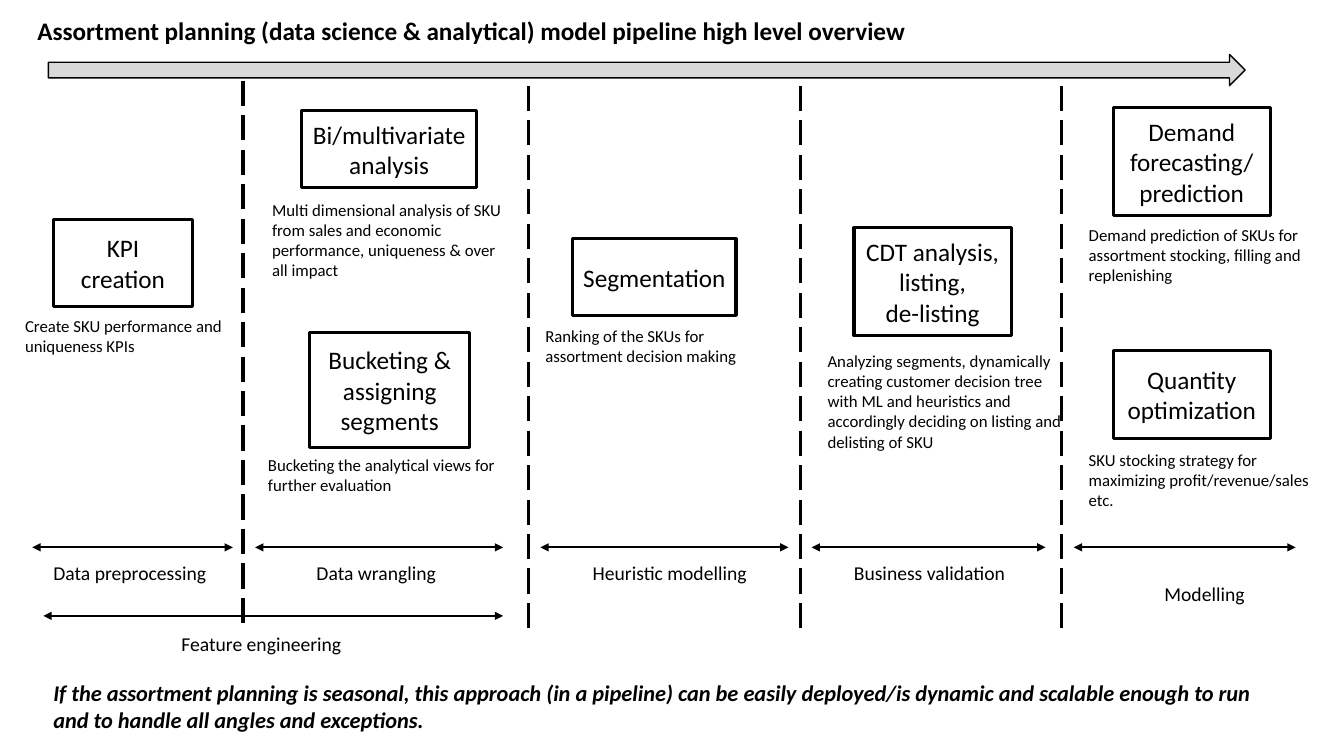
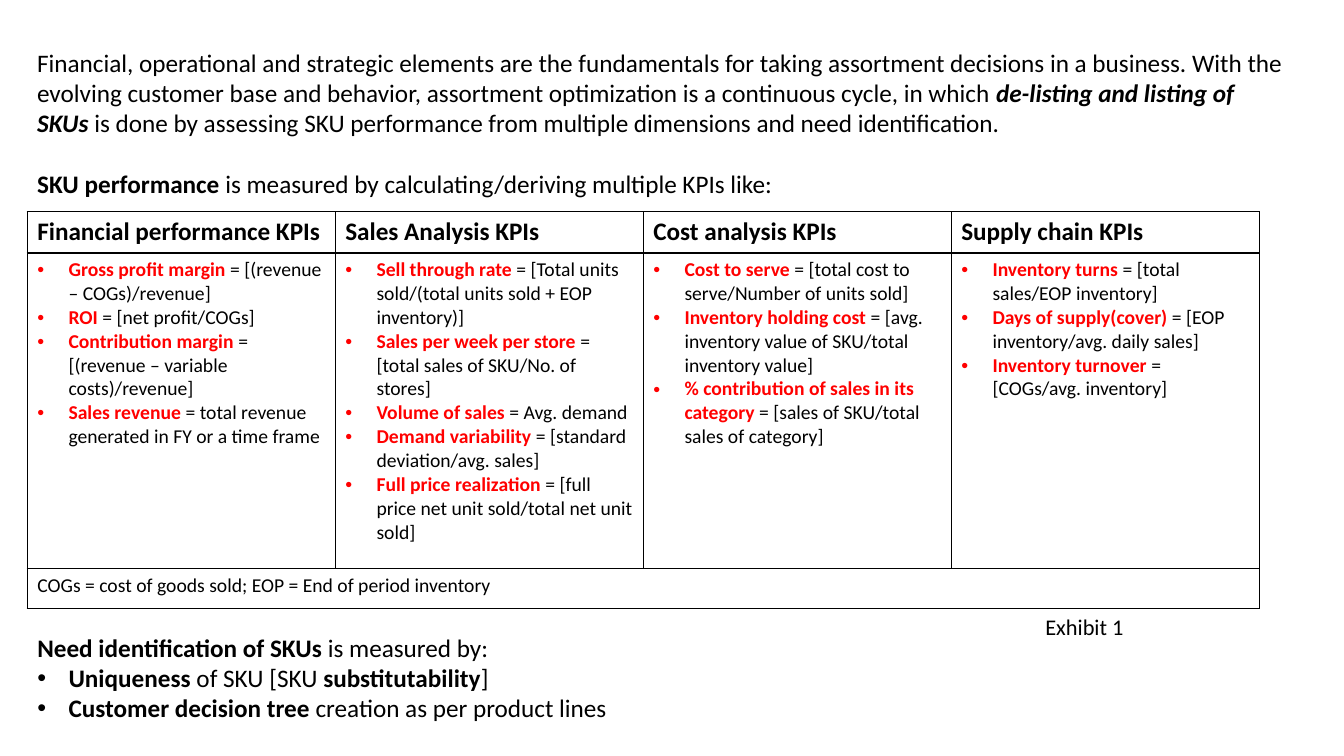
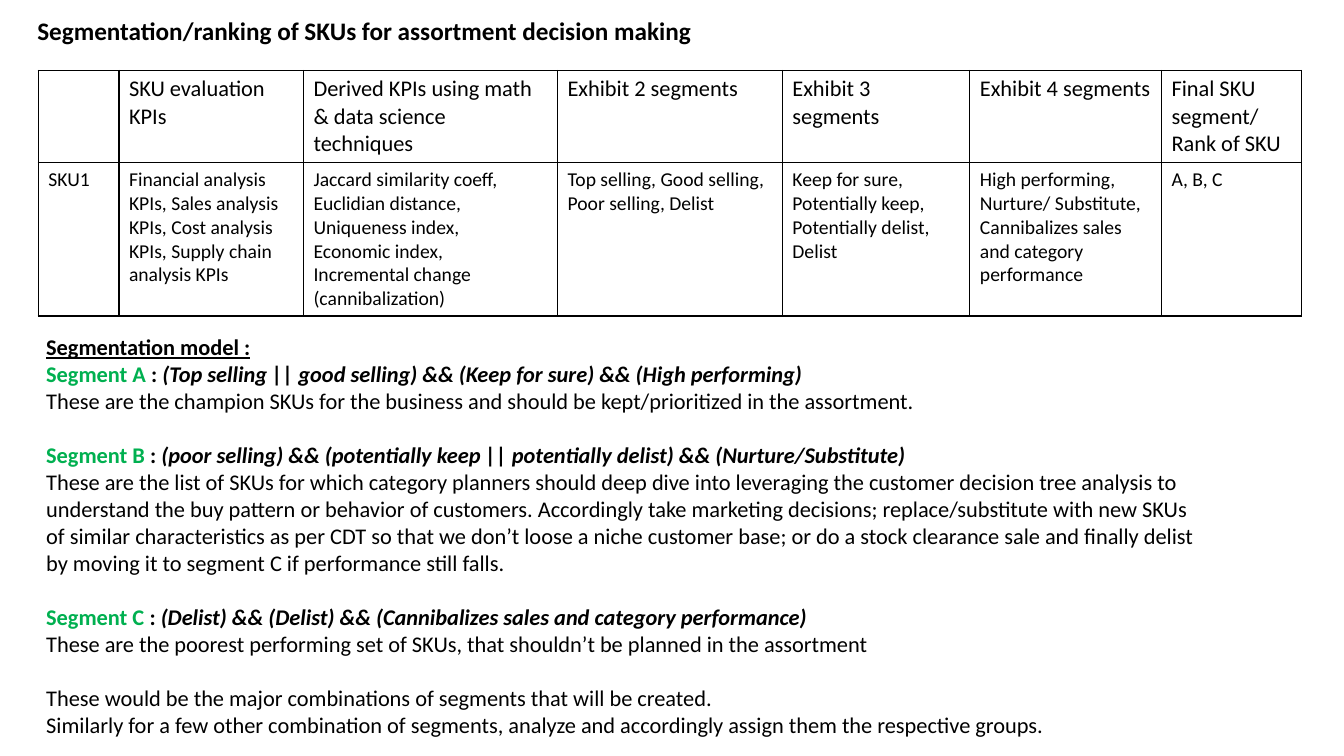
from lxml import etree
from pptx import Presentation
from pptx.dml.color import RGBColor
from pptx.enum.dml import MSO_LINE
from pptx.enum.shapes import MSO_CONNECTOR, MSO_SHAPE
from pptx.enum.text import MSO_ANCHOR, MSO_AUTO_SIZE, PP_ALIGN
from pptx.oxml.ns import qn
from pptx.util import Inches, Pt

COLORS = {"ink": "000000", "key": "FF0000", "segment": "00B050", "arrow": "D9D9D9"}
FONT = "Calibri"
LINE_HEIGHT = 1.22
INDENT = 0.31
STYLES = {
    "strong": {"bold": True},
    "stress": {"bold": True, "italic": True},
    "key": {"bold": True, "color": "key"},
    "segment": {"bold": True, "color": "segment"},
    "heading": {"bold": True, "underline": True},
}
TITLE_ONLY, TITLE_AND_BODY = 5, 1

PIPELINE_TITLE = "Assortment planning (data science & analytical) model pipeline high level overview"
STEPS = [
    ("KPI creation", (0.53, 2.18, 1.38, 0.86),
     "Create SKU performance and uniqueness KPIs", (0.15, 3.08, 2.16, 0.5)),
    ("Bi/multivariate analysis", (2.99, 1.1, 1.74, 0.76),
     "Multi dimensional analysis of SKU from sales and economic performance, "
     "uniqueness & over all impact", (2.6, 1.93, 2.54, 0.91)),
    ("Bucketing & assigning segments", (3.07, 3.3, 1.59, 1.14),
     "Bucketing the analytical views for further evaluation", (2.56, 4.46, 2.54, 0.5)),
    ("Segmentation", (5.68, 2.37, 1.62, 0.76),
     "Ranking of the SKUs for assortment decision making", (5.31, 3.18, 2.54, 0.5)),
    (["CDT analysis, listing,", "de-listing"], (8.47, 2.26, 1.56, 1.07),
     "Analyzing segments, dynamically creating customer decision tree with ML and "
     "heuristics and accordingly deciding on listing and delisting of SKU",
     (8.11, 3.43, 2.54, 1.11)),
    (["Demand forecasting/", "prediction"], (11.04, 1.07, 1.56, 1.07),
     "Demand prediction of SKUs for assortment stocking, filling and replenishing",
     (10.7, 2.18, 2.54, 0.71)),
    ("Quantity optimization", (11.04, 3.48, 1.56, 0.87),
     "SKU stocking strategy for maximizing profit/revenue/sales etc.",
     (10.7, 4.41, 2.54, 0.71)),
]
DIVIDERS = [(2.41, 0.8), (5.24, 0.85), (7.94, 0.85), (10.53, 0.85)]
DIVIDER_LENGTH = 5.38
PHASES = [
    ("Data preprocessing", 0.32, 2.31, 5.43, (0.43, 5.52)),
    ("Data wrangling", 2.53, 4.99, 5.43, (3.04, 5.52)),
    ("Heuristic modelling", 5.36, 7.82, 5.43, (5.78, 5.52)),
    ("Business validation", 8.05, 10.37, 5.43, (8.37, 5.52)),
    ("Modelling", 10.65, 12.85, 5.43, (11.45, 5.72)),
    ("Feature engineering", 0.43, 4.99, 6.11, (1.7, 6.22)),
]
CONCLUSION = (
    "If the assortment planning is seasonal, this approach (in a pipeline) can be easily "
    "deployed/is dynamic and scalable enough to run and to handle all angles and exceptions."
)

INTRO = [
    ["Financial, operational and strategic elements are the fundamentals for taking "
     "assortment decisions in a business. With the evolving customer base and behavior, "
     "assortment optimization is a continuous cycle, in which ",
     ("de-listing and listing of SKUs ", "stress"),
     "is done by assessing SKU performance from multiple dimensions and need identification."],
    None,
    [("SKU performance ", "strong"), "is measured by calculating/deriving multiple KPIs like:"],
]
KPIS = {
    "Financial performance KPIs": [
        ("Gross profit margin", "[(revenue – COGs)/revenue]"),
        ("ROI", "[net profit/COGs]"),
        ("Contribution margin", "[(revenue – variable costs)/revenue]"),
        ("Sales revenue", "total revenue generated in FY or a time frame"),
    ],
    "Sales Analysis KPIs": [
        ("Sell through rate", "[Total units sold/(total units sold + EOP inventory)]"),
        ("Sales per week per store", "[total sales of SKU/No. of stores]"),
        ("Volume of sales", "Avg. demand"),
        ("Demand variability", "[standard deviation/avg. sales]"),
        ("Full price realization", "[full price net unit sold/total net unit sold]"),
    ],
    "Cost analysis KPIs": [
        ("Cost to serve", "[total cost to serve/Number of units sold]"),
        ("Inventory holding cost", "[avg. inventory value of SKU/total inventory value]"),
        ("% contribution of sales in its category", "[sales of SKU/total sales of category]"),
    ],
    "Supply chain KPIs": [
        ("Inventory turns", "[total sales/EOP inventory]"),
        ("Days of supply(cover)", "[EOP inventory/avg. daily sales]"),
        ("Inventory turnover", "[COGs/avg. inventory]"),
    ],
}
ABBREVIATIONS = "COGs = cost of goods sold; EOP = End of period inventory"
NEEDS = [
    [("Need identification of SKUs ", "strong"), "is measured by:"],
    [("Uniqueness", "strong"), " of SKU [SKU ", ("substitutability", "strong"), "]"],
    [("Customer decision tree ", "strong"), "creation as per product lines"],
]

SEGMENT_TITLE = "Segmentation/ranking of SKUs for assortment decision making"
SEGMENT_COLUMNS = [
    (0.8, "", "SKU1"),
    (1.83, "SKU evaluation KPIs",
     "Financial analysis KPIs, Sales analysis KPIs, Cost analysis KPIs, "
     "Supply chain analysis KPIs"),
    (2.52, "Derived KPIs using math & data science techniques",
     ["Jaccard similarity coeff, Euclidian distance, Uniqueness index,", "Economic index,",
      "Incremental change (cannibalization)"]),
    (2.23, "Exhibit 2 segments", "Top selling, Good selling, Poor selling, Delist"),
    (1.86, "Exhibit 3 segments", "Keep for sure, Potentially keep, Potentially delist, Delist"),
    (1.9, "Exhibit 4 segments",
     "High performing, Nurture/ Substitute, Cannibalizes sales and category performance"),
    (1.39, ["Final SKU segment/", "Rank of SKU"], "A, B, C"),
]
SEGMENTS = [
    ("A", "(Top selling || good selling) && (Keep for sure) && (High performing)",
     "These are the champion SKUs for the business and should be kept/prioritized "
     "in the assortment."),
    ("B", "(poor selling) && (potentially keep || potentially delist) && (Nurture/Substitute)",
     "These are the list of SKUs for which category planners should deep dive into "
     "leveraging the customer decision tree analysis to understand the buy pattern or "
     "behavior of customers. Accordingly take marketing decisions; replace/substitute with "
     "new SKUs of similar characteristics as per CDT so that we don’t loose a niche customer "
     "base; or do a stock clearance sale and finally delist by moving it to segment C if "
     "performance still falls."),
    ("C", "(Delist) && (Delist) && (Cannibalizes sales and category performance)",
     "These are the poorest performing set of SKUs, that shouldn’t be planned in the assortment"),
]
SEGMENT_NOTES = [
    "These would be the major combinations of segments that will be created.",
    "Similarly for a few other combination of segments, analyze and accordingly assign them "
    "the respective groups.",
]


def rgb(name):
    return RGBColor.from_string(COLORS[name])


def write(frame, text, size=18, align=PP_ALIGN.LEFT, bullet_from=None, **base):
    frame.word_wrap = True
    paras = [text] if isinstance(text, str) else text
    gap, count = 0, 0
    for spans in paras:
        if spans is None:
            gap = size * LINE_HEIGHT
            continue
        para = frame.paragraphs[0] if count == 0 else frame.add_paragraph()
        para.alignment = align
        para.line_spacing = 1.0
        para.space_before, gap = Pt(gap), 0
        set_bullet(para, bullet_from is not None and count >= bullet_from)
        count += 1
        for span in [spans] if isinstance(spans, str) else spans:
            words, style = (span, None) if isinstance(span, str) else span
            form = {**base, **STYLES.get(style, {})}
            run = para.add_run()
            run.text = words
            font = run.font
            font.name, font.size = FONT, Pt(size)
            font.bold = form.get("bold", False)
            font.italic = form.get("italic", False)
            font.underline = form.get("underline", False)
            font.color.rgb = rgb(form.get("color", "ink"))


def set_bullet(para, shown):
    props = para._p.get_or_add_pPr()
    indent = Inches(INDENT) if shown else 0
    props.set("marL", str(indent))
    props.set("indent", str(-indent))
    if shown:
        etree.SubElement(props, qn("a:buFont"), typeface="Arial")
        etree.SubElement(props, qn("a:buChar"), char="•")
    else:
        etree.SubElement(props, qn("a:buNone"))


def fill_placeholder(holder, at, text, **form):
    holder.left, holder.top, holder.width, holder.height = map(Inches, at)
    holder.text_frame.auto_size = MSO_AUTO_SIZE.NONE
    holder.text_frame.vertical_anchor = MSO_ANCHOR.TOP
    write(holder.text_frame, text, **form)


def add_page(deck, layout, title=None):
    page = deck.slides.add_slide(deck.slide_layouts[layout])
    holder = page.shapes.title
    if title:
        fill_placeholder(holder, (0.27, 0.1, 10.54, 0.4), title, bold=True)
    else:
        holder.element.getparent().remove(holder.element)
    return page


def add_text(page, at, text, **form):
    box = page.shapes.add_textbox(*map(Inches, at))
    write(box.text_frame, text, **form)
    box.text_frame.auto_size = MSO_AUTO_SIZE.SHAPE_TO_FIT_TEXT


def add_box(page, kind, at, line_width, fill=None):
    box = page.shapes.add_shape(kind, *map(Inches, at))
    box.shadow.inherit = False
    box.line.color.rgb, box.line.width = rgb("ink"), Pt(line_width)
    if fill:
        box.fill.solid()
        box.fill.fore_color.rgb = rgb(fill)
    else:
        box.fill.background()
    return box


def add_line(page, start, end, width, dash=None, arrows=False):
    line = page.shapes.add_connector(MSO_CONNECTOR.STRAIGHT, *map(Inches, start + end))
    line.line.color.rgb, line.line.width = rgb("ink"), Pt(width)
    if dash:
        line.line.dash_style = dash
    props = line.element.spPr
    if arrows:
        for name in ("a:headEnd", "a:tailEnd"):
            etree.SubElement(props.find(qn("a:ln")), qn(name), type="triangle")
    etree.SubElement(props, qn("a:effectLst"))


def add_grid(page, left, top, widths, heights):
    frame = page.shapes.add_table(len(heights), len(widths), *map(
        Inches, (left, top, sum(widths), sum(heights))))
    table = frame.table
    table.first_row = table.horz_banding = False
    for column, width in zip(table.columns, widths):
        column.width = Inches(width)
    for row, height in zip(table.rows, heights):
        row.height = Inches(height)
    for cell in table.iter_cells():
        cell.fill.background()
        props = cell._tc.get_or_add_tcPr()
        for index, side in enumerate(("a:lnL", "a:lnR", "a:lnT", "a:lnB")):
            edge = etree.Element(qn(side), w=str(Pt(1)))
            solid = etree.SubElement(edge, qn("a:solidFill"))
            etree.SubElement(solid, qn("a:srgbClr"), val=COLORS["ink"])
            props.insert(index, edge)
    return table


def build_pipeline(deck):
    page = add_page(deck, TITLE_ONLY, PIPELINE_TITLE)
    add_box(page, MSO_SHAPE.RIGHT_ARROW, (0.48, 0.54, 11.87, 0.31), 1, fill="arrow")
    for x, top in DIVIDERS:
        add_line(page, (x, top), (x, top + DIVIDER_LENGTH), 2.25, dash=MSO_LINE.LONG_DASH)
    for label, label_at, note, note_at in STEPS:
        box = add_box(page, MSO_SHAPE.RECTANGLE, label_at, 2.25)
        box.text_frame.vertical_anchor = MSO_ANCHOR.MIDDLE
        write(box.text_frame, label, align=PP_ALIGN.CENTER)
        add_text(page, note_at, note, size=12)
    for name, start, end, y, corner in PHASES:
        add_line(page, (start, y), (end, y), 1.5, arrows=True)
        add_text(page, corner + (1.88, 0.34), name, size=14)
    add_text(page, (0.43, 6.69, 12.31, 0.64), CONCLUSION, size=16, bold=True, italic=True)


def build_kpis(deck):
    page = add_page(deck, TITLE_AND_BODY)
    fill_placeholder(page.placeholders[1], (0.27, 6.22, 6.67, 1.01), NEEDS, bullet_from=1)
    add_text(page, (0.27, 0.42, 12.6, 1.62), INTRO)
    table = add_grid(page, 0.27, 2.1, [12.22 / len(KPIS)] * len(KPIS), [0.41, 3.13, 0.4])
    for column, (heading, kpis) in enumerate(KPIS.items()):
        write(table.cell(0, column).text_frame, heading, bold=True)
        formulas = [[(f"{name} ", "key"), f"= {formula}"] for name, formula in kpis]
        write(table.cell(1, column).text_frame, formulas, size=14, bullet_from=0)
    table.cell(2, 0).merge(table.cell(2, len(KPIS) - 1))
    write(table.cell(2, 0).text_frame, ABBREVIATIONS, size=14)
    add_text(page, (10.27, 6.03, 1.23, 0.37), "Exhibit 1", size=16)


def build_segments(deck):
    page = add_page(deck, TITLE_ONLY, SEGMENT_TITLE)
    widths = [width for width, _, _ in SEGMENT_COLUMNS]
    table = add_grid(page, 0.38, 0.7, widths, [0.91, 1.52])
    for column, (_, heading, value) in enumerate(SEGMENT_COLUMNS):
        write(table.cell(0, column).text_frame, heading, size=16)
        write(table.cell(1, column).text_frame, value, size=14)
    model = [[("Segmentation model :", "heading")]]
    for letter, rule, meaning in SEGMENTS:
        model += [[(f"Segment {letter} ", "segment"), (": ", "strong"), (rule, "stress")],
                  meaning, None]
    add_text(page, (0.36, 3.26, 11.72, 4.14), model + SEGMENT_NOTES, size=16)


def main():
    deck = Presentation()
    deck.slide_width, deck.slide_height = Inches(13.33), Inches(7.5)
    for build in (build_pipeline, build_kpis, build_segments):
        build(deck)
    deck.save("out.pptx")


if __name__ == "__main__":
    main()
